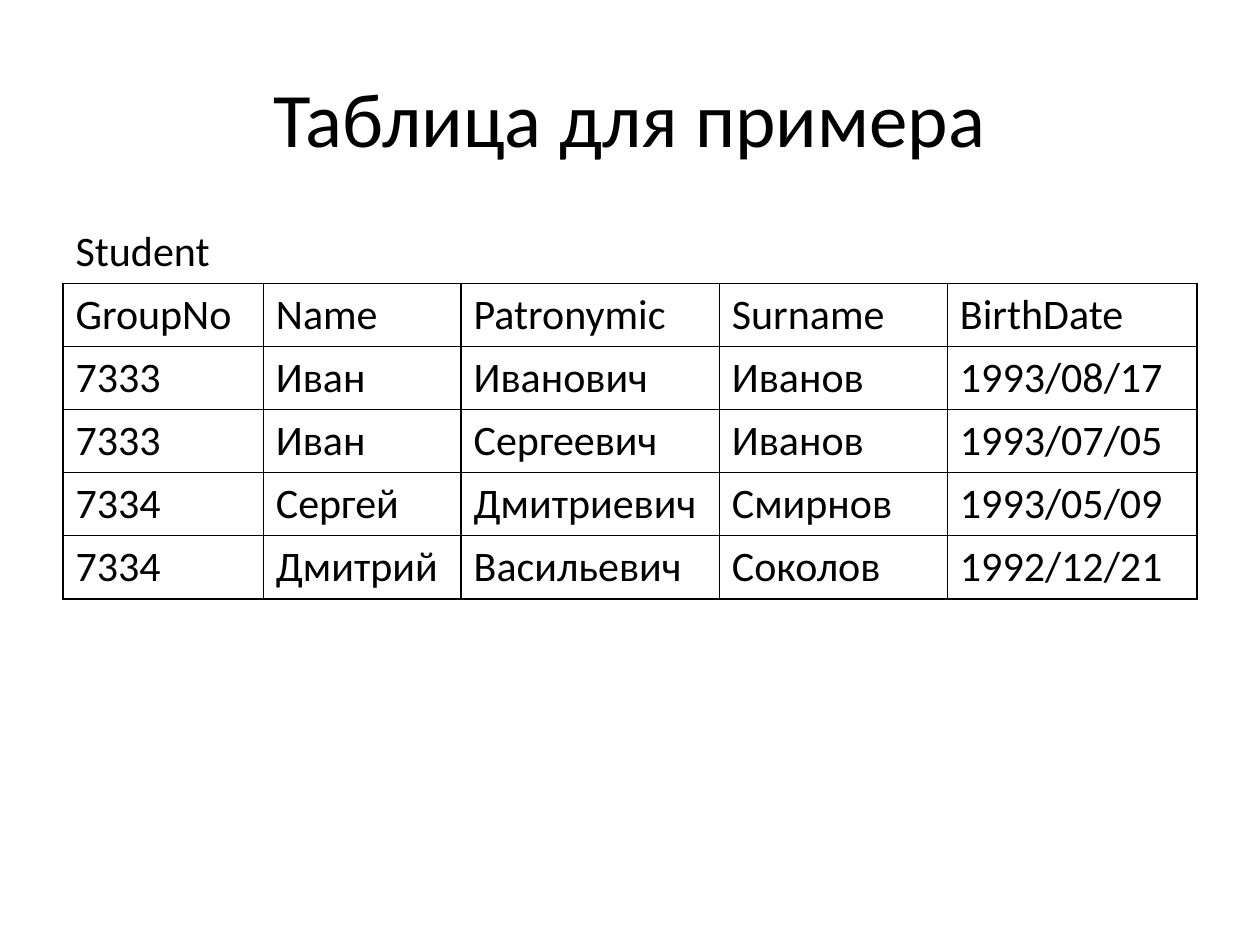
from lxml.etree import SubElement
from pptx import Presentation
from pptx.dml.color import RGBColor
from pptx.enum.text import MSO_ANCHOR, PP_ALIGN
from pptx.oxml.ns import qn
from pptx.util import Inches, Pt

TITLE = "Таблица для примера"
NAME = "Student"
ROWS = [
    ("GroupNo", "Name", "Patronymic", "Surname", "BirthDate"),
    ("7333", "Иван", "Иванович", "Иванов", "1993/08/17"),
    ("7333", "Иван", "Сергеевич", "Иванов", "1993/07/05"),
    ("7334", "Сергей", "Дмитриевич", "Смирнов", "1993/05/09"),
    ("7334", "Дмитрий", "Васильевич", "Соколов", "1992/12/21"),
]
COLS = [1.59, 1.57, 2.05, 1.81, 1.98]
COLORS = {"ink": "000000", "page": "FFFFFF"}
LEFT, WIDE, HIGH = 0.5, 9, 0.5
SIDES = "LRTB"


def write(frame, text, size, **form):
    para = frame.paragraphs[0]
    para.text = text
    for key, val in form.items():
        setattr(para, key, val)
    for key, val in {"name": "Calibri", "size": Pt(size), "bold": False}.items():
        setattr(para.font, key, val)
    para.font.color.rgb = RGBColor.from_string(COLORS["ink"])


def edge(cell, drawn):
    """Rule the drawn sides of a cell and clear the others."""
    props = cell._tc.get_or_add_tcPr()
    for side in SIDES:
        line = SubElement(props, qn(f"a:ln{side}"), w=str(Pt(1)))
        if side in drawn:
            fill = SubElement(line, qn("a:solidFill"))
            SubElement(fill, qn("a:srgbClr"), val=COLORS["ink"])
        else:
            SubElement(line, qn("a:noFill"))


def add_title(slide):
    box = slide.shapes.add_textbox(*map(Inches, (LEFT, 0.3, WIDE, 1.25)))
    frame = box.text_frame
    for key, val in {"word_wrap": True, "vertical_anchor": MSO_ANCHOR.MIDDLE}.items():
        setattr(frame, key, val)
    write(frame, TITLE, 44, alignment=PP_ALIGN.CENTER)


def add_grid(slide):
    count = len(ROWS) + 1
    area = map(Inches, (LEFT, 1.75, WIDE, HIGH * count))
    table = slide.shapes.add_table(count, len(COLS), *area).table
    table.first_row = table.horz_banding = False
    for col, wide in zip(table.columns, COLS):
        col.width = Inches(wide)
    for r, row in enumerate(table.rows):
        for cell in row.cells:
            edge(cell, SIDES if r else "B")
            cell.fill.background()
    head = table.cell(0, 0)
    head.merge(table.cell(0, len(COLS) - 1))
    write(head.text_frame, NAME, 24)
    for r, row in enumerate(ROWS, 1):
        for c, text in enumerate(row):
            write(table.cell(r, c).text_frame, text, 24)


def main():
    deck = Presentation()
    deck.slide_width, deck.slide_height = Inches(10), Inches(7.5)
    slide = deck.slides.add_slide(deck.slide_layouts[6])
    back = slide.background.fill
    back.solid()
    back.fore_color.rgb = RGBColor.from_string(COLORS["page"])
    add_title(slide)
    add_grid(slide)
    deck.save("out.pptx")


if __name__ == "__main__":
    main()
